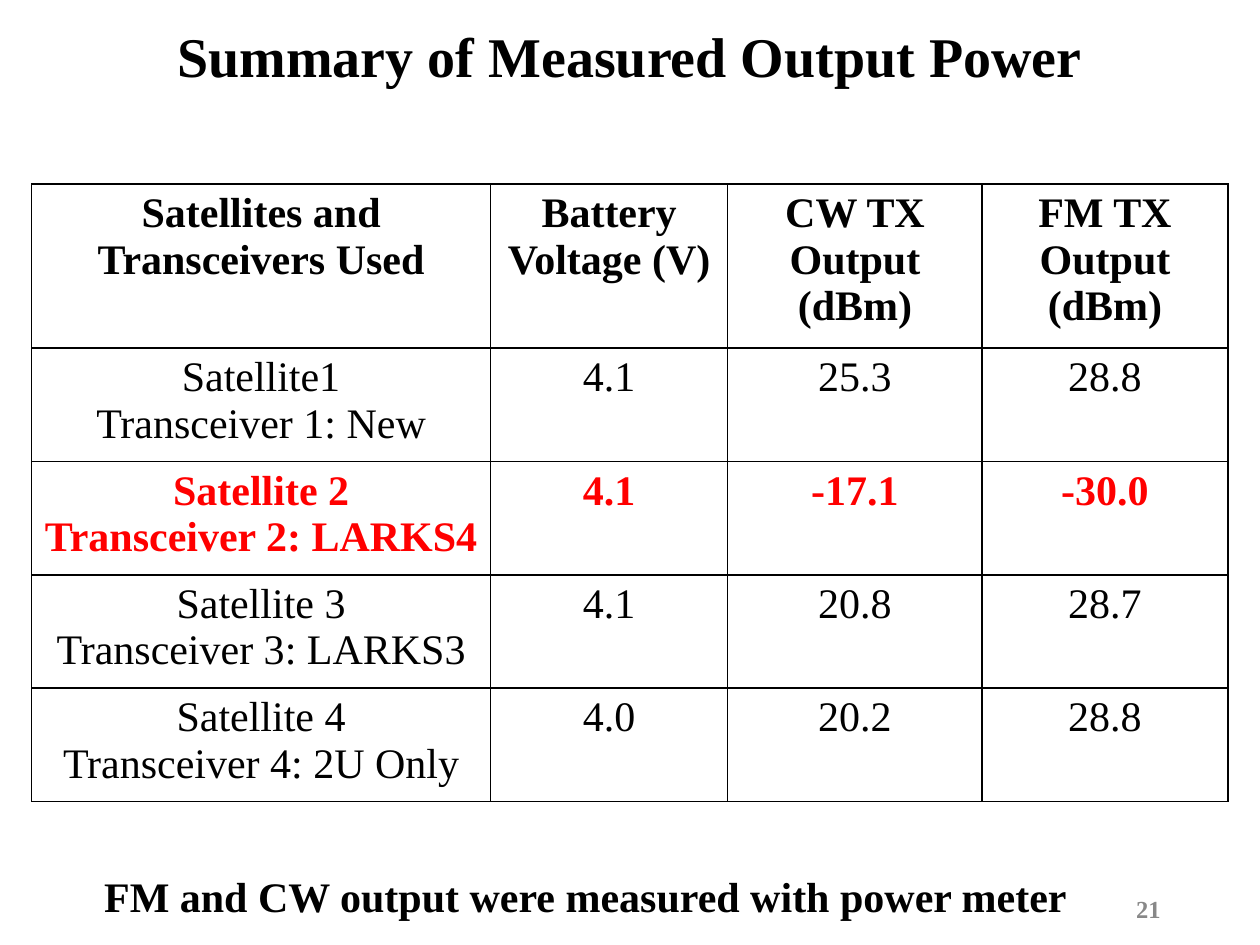
from lxml.etree import SubElement
from pptx import Presentation
from pptx.dml.color import RGBColor
from pptx.enum.text import MSO_ANCHOR, PP_ALIGN
from pptx.oxml.ns import qn
from pptx.util import Cm, Pt

FONT = "Times New Roman"
BLACK, RED, GREY = "000000", "FF0000", "888888"
COLUMN_WIDTHS = [9.25, 4.78, 5.13, 4.95]
ROW_HEIGHTS = [2.26, 1.83, 1.24, 1.24, 1.24]
HEADINGS = ["Satellites and Transceivers Used", "Battery Voltage (V)",
            "CW TX Output (dBm)", "FM TX Output (dBm)"]
MEASUREMENTS = [
    ["Satellite1\nTransceiver 1: New", "4.1", "25.3", "28.8"],
    ["Satellite 2\nTransceiver 2: LARKS4", "4.1", "-17.1", "-30.0"],
    ["Satellite 3\nTransceiver 3: LARKS3", "4.1", "20.8", "28.7"],
    ["Satellite 4\nTransceiver 4: 2U Only", "4.0", "20.2", "28.8"],
]
FAULTY_ROW = 2


def color(value):
    """Turn a hex string into a colour."""
    return RGBColor.from_string(value)


def write(frame, text, size, align, ink=BLACK, bold=True):
    """Fill a text frame, one paragraph per line of text."""
    for index, line in enumerate(text.split("\n")):
        para = frame.add_paragraph() if index else frame.paragraphs[0]
        para.alignment = align
        span = para.add_run()
        span.text = line
        span.font.name = FONT
        span.font.size = Pt(size)
        span.font.bold = bold
        span.font.color.rgb = color(ink)


def add_text(page, place, text, size, align, ink=BLACK, wrap=True, anchor=MSO_ANCHOR.MIDDLE):
    """Add a bold text box and return its frame."""
    frame = page.shapes.add_textbox(*map(Cm, place)).text_frame
    frame.word_wrap = wrap
    frame.vertical_anchor = anchor
    write(frame, text, size, align, ink)
    return frame


def draw_borders(cell):
    """Give a cell thin black lines on all sides, with no fill."""
    properties = cell._tc.get_or_add_tcPr()
    for side in ("a:lnL", "a:lnR", "a:lnT", "a:lnB"):
        line = SubElement(properties, qn(side), w=str(Pt(1)))
        fill = SubElement(line, qn("a:solidFill"))
        SubElement(fill, qn("a:srgbClr"), val=BLACK)
    cell.fill.background()


def add_power_table(page):
    """Add the table of measured output power."""
    rows = [HEADINGS] + MEASUREMENTS
    holder = page.shapes.add_table(
        len(rows), len(HEADINGS), Cm(0.64), Cm(3.71),
        Cm(sum(COLUMN_WIDTHS)), Cm(sum(ROW_HEIGHTS)))
    table = holder.table
    table.horz_banding = False
    for column, width in zip(table.columns, COLUMN_WIDTHS):
        column.width = Cm(width)
    for row, height in zip(table.rows, ROW_HEIGHTS):
        row.height = Cm(height)
    holder.height = Cm(12.45)
    for row_index, texts in enumerate(rows):
        ink = RED if row_index == FAULTY_ROW else BLACK
        for column_index, text in enumerate(texts):
            cell = table.cell(row_index, column_index)
            write(cell.text_frame, text, 24, PP_ALIGN.CENTER, ink,
                  row_index in (0, FAULTY_ROW))
            draw_borders(cell)


def main():
    """Build the slide and save it."""
    deck = Presentation()
    deck.slide_width, deck.slide_height = Cm(25.4), Cm(19.05)
    page = deck.slides.add_slide(deck.slide_layouts[6])
    title = add_text(page, (1.75, 0.09, 21.9, 2.2), "Summary of Measured Output Power",
                     32, PP_ALIGN.CENTER)
    title.paragraphs[0].line_spacing = 0.9
    add_text(page, (17.93, 17.8, 5.72, 1.02), "21", 14, PP_ALIGN.RIGHT, GREY)
    add_power_table(page)
    add_text(page, (1.85, 17.43, 20.17, 1.27),
             "FM and CW output were measured with power meter", 24,
             PP_ALIGN.LEFT, wrap=False, anchor=MSO_ANCHOR.TOP)
    deck.save("out.pptx")


if __name__ == "__main__":
    main()
